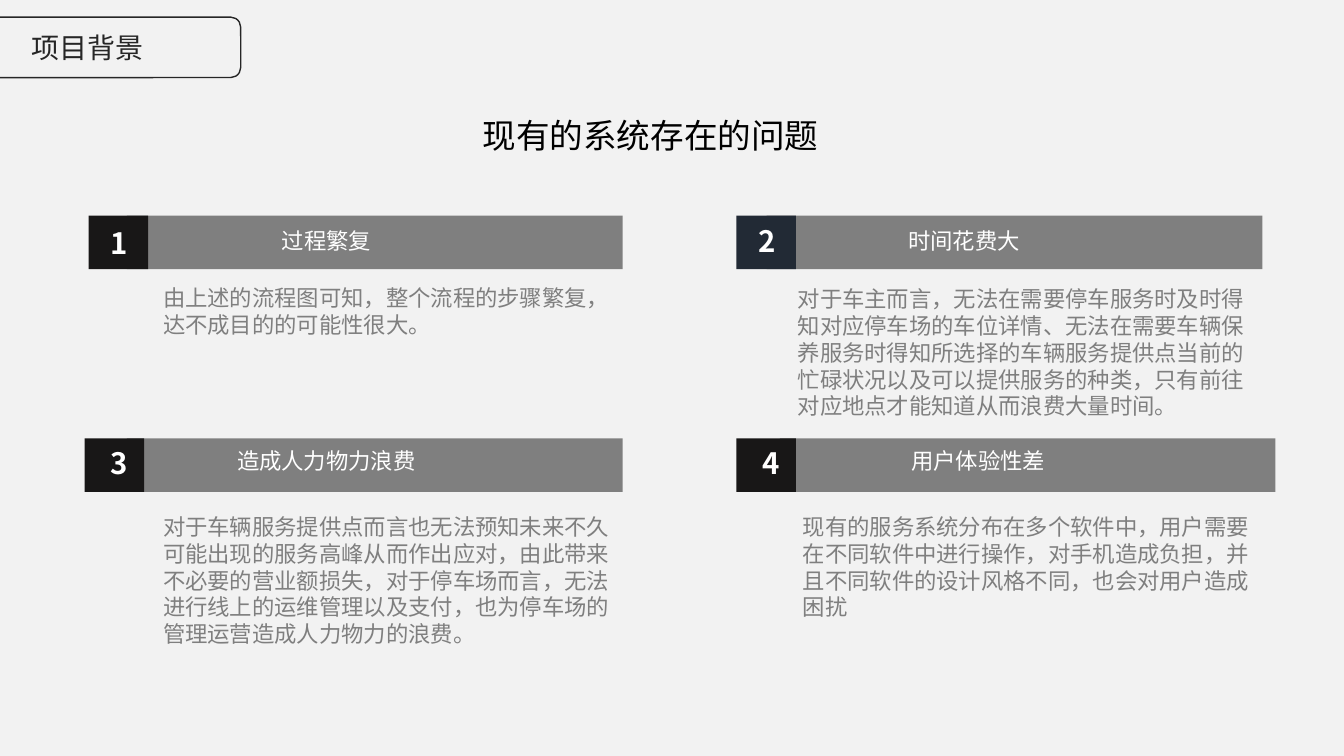
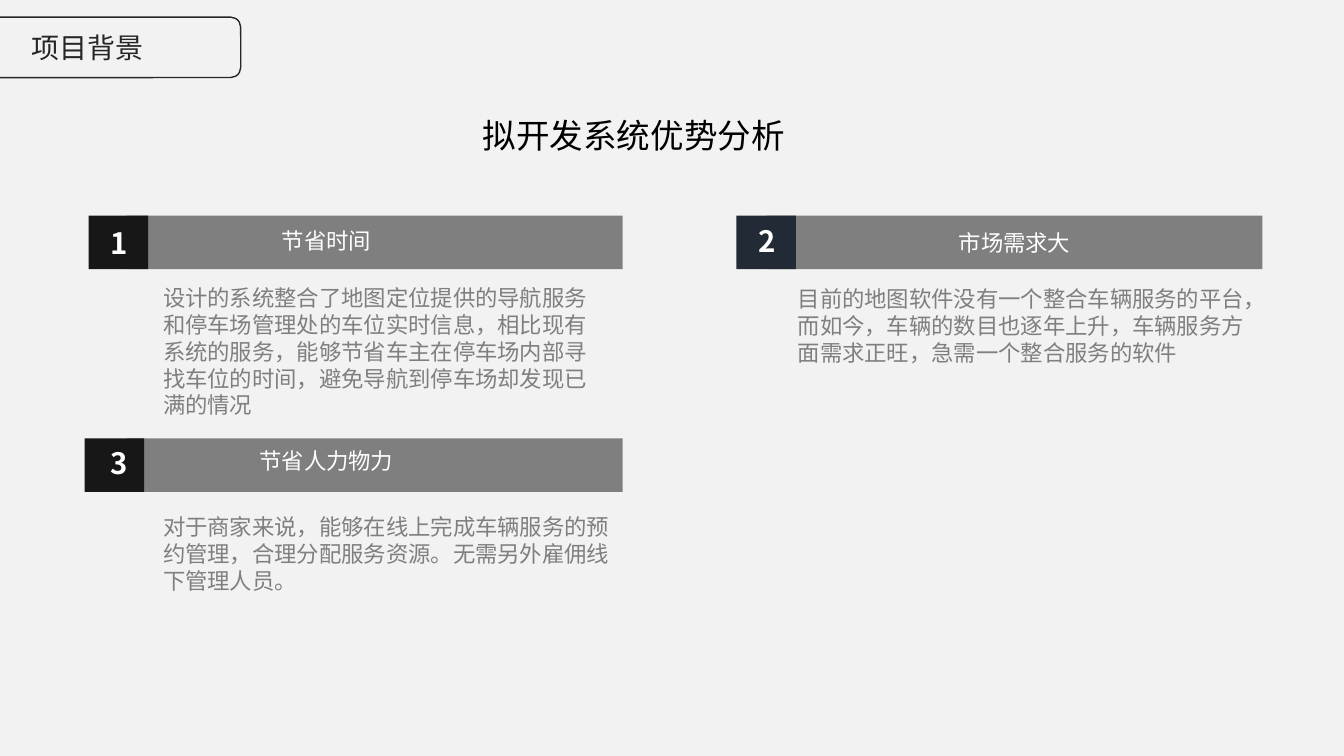
from dataclasses import dataclass

from lxml import etree
from pptx import Presentation
from pptx.dml.color import RGBColor
from pptx.enum.shapes import MSO_SHAPE
from pptx.enum.text import MSO_ANCHOR, MSO_AUTO_SIZE, PP_ALIGN
from pptx.oxml.ns import qn
from pptx.util import Emu, Pt

RECT, ROUND = MSO_SHAPE.RECTANGLE, MSO_SHAPE.ROUNDED_RECTANGLE
LEFT, MID = PP_ALIGN.LEFT, PP_ALIGN.CENTER
TOP, CENTER = MSO_ANCHOR.TOP, MSO_ANCHOR.MIDDLE
FIXED = MSO_AUTO_SIZE.NONE

PX = 9144  # EMU in one px, 100 px to the inch
WIDE, HIGH = 1334, 750
BAR_W, BADGE_W, BAND_H = 492, 59, 53
HEAD_W, HEAD_H = 330, 37
NUM_W, NUM_H = 52, 45
TEXT_H = 144
LEAD = 1.2  # line height in ems

SANS, TAB_FONT = "Noto Sans CJK SC", "League Spartan"
COLORS = {
    "back": "F2F2F2",
    "bar": "7F7F7F",
    "text": "7F7F7F",
    "badge": "181717",
    "navy": "222A35",
    "white": "FFFFFF",
    "title": "000000",
    "tab": "262626",
}


@dataclass(frozen=True)
class Style:
    size: int
    color: str
    align: PP_ALIGN = LEFT
    bold: bool = False
    font: str = SANS


TITLE = Style(24, "title")
TAB = Style(20, "tab", font=TAB_FONT)
HEAD = Style(16, "white", MID)
BODY = Style(16, "text")
NUM = Style(21, "white", MID, True)


@dataclass(frozen=True)
class Box:
    x: int
    y: int
    w: int
    h: int

    def emu(self) -> tuple[Emu, ...]:
        return tuple(Emu(n * PX) for n in (self.x, self.y, self.w, self.h))


@dataclass(frozen=True)
class Slot:
    """Places of one numbered card."""
    y: int
    bar: int
    badge: int
    num: tuple[int, int]
    head: tuple[int, int]
    body: tuple[int, int, int]
    fill: str = "badge"


@dataclass(frozen=True)
class Card:
    head: str
    body: str
    inner: bool = False  # heading centred inside the bar


@dataclass(frozen=True)
class Page:
    title: str
    cards: list[Card]


ROW1, ROW2 = 214, 435
SLOTS = [
    Slot(ROW1, 126, 88, (92, 218), (159, 220), (152, 277, 459)),
    Slot(ROW1, 761, 731, (735, 216), (792, 220), (782, 278, 468), "navy"),
    Slot(ROW2, 126, 84, (92, 437), (159, 439), (152, 504, 468)),
    Slot(ROW2, 774, 731, (739, 437), (806, 439), (787, 504, 468)),
]

PAGES = [
    Page("现有的系统存在的问题", [
        Card("过程繁复", "由上述的流程图可知，整个流程的步骤繁复，达不成目的的可能性很大。"),
        Card("时间花费大",
             "对于车主而言，无法在需要停车服务时及时得知对应停车场的车位详情、"
             "无法在需要车辆保养服务时得知所选择的车辆服务提供点当前的忙碌状况"
             "以及可以提供服务的种类，只有前往对应地点才能知道从而浪费大量时间。"),
        Card("造成人力物力浪费",
             "对于车辆服务提供点而言也无法预知未来不久可能出现的服务高峰从而作出应对，"
             "由此带来不必要的营业额损失，对于停车场而言，无法进行线上的运维管理以及支付，"
             "也为停车场的管理运营造成人力物力的浪费。"),
        Card("用户体验性差",
             "现有的服务系统分布在多个软件中，用户需要在不同软件中进行操作，"
             "对手机造成负担，并且不同软件的设计风格不同，也会对用户造成困扰"),
    ]),
    Page("拟开发系统优势分析", [
        Card("节省时间",
             "设计的系统整合了地图定位提供的导航服务和停车场管理处的车位实时信息，"
             "相比现有系统的服务，能够节省车主在停车场内部寻找车位的时间，"
             "避免导航到停车场却发现已满的情况"),
        Card("市场需求大",
             "目前的地图软件没有一个整合车辆服务的平台，而如今，车辆的数目也逐年上升，"
             "车辆服务方面需求正旺，急需一个整合服务的软件", inner=True),
        Card("节省人力物力",
             "对于商家来说，能够在线上完成车辆服务的预约管理，合理分配服务资源。"
             "无需另外雇佣线下管理人员。"),
    ]),
]


def rgb(key: str) -> RGBColor:
    return RGBColor.from_string(COLORS[key])


def write(shape, text: str, style: Style, anchor=TOP, wrap: bool = True) -> None:
    """Put one styled run into a shape."""
    frame = shape.text_frame
    frame.auto_size = FIXED
    frame.word_wrap = wrap
    frame.vertical_anchor = anchor
    para = frame.paragraphs[0]
    para.alignment = style.align
    para.line_spacing = Pt(round(style.size * LEAD, 1))
    para.space_before = Pt(0)
    run = para.add_run()
    run.text = text
    font = run.font
    font.size, font.bold, font.name = Pt(style.size), style.bold, style.font
    font.color.rgb = rgb(style.color)
    # East Asian typeface
    props = run._r.get_or_add_rPr()
    etree.SubElement(props, qn("a:ea"), typeface=style.font)


def label(slide, box: Box, text: str, style: Style, wrap: bool = True) -> None:
    write(slide.shapes.add_textbox(*box.emu()), text, style, wrap=wrap)


def block(slide, box: Box, fill: str):
    shape = slide.shapes.add_shape(RECT, *box.emu())
    shape.shadow.inherit = False
    shape.fill.solid()
    shape.fill.fore_color.rgb = rgb(fill)
    shape.line.fill.background()
    return shape


def draw_tab(slide) -> None:
    """Section tab running in from the left edge."""
    tab = slide.shapes.add_shape(ROUND, *Box(-57, 17, 296, 60).emu())
    tab.shadow.inherit = False
    tab.fill.background()
    tab.line.color.rgb = rgb("tab")
    tab.line.width = Pt(1)
    label(slide, Box(21, 25, 131, 44), "项目背景", TAB, wrap=False)


def draw_card(slide, slot: Slot, card: Card, num: int) -> None:
    bar = block(slide, Box(slot.bar, slot.y, BAR_W, BAND_H), "bar")
    label(slide, Box(*slot.body, TEXT_H), card.body, BODY)
    if card.inner:
        write(bar, card.head, HEAD, CENTER)
    else:
        label(slide, Box(*slot.head, HEAD_W, HEAD_H), card.head, HEAD)
    block(slide, Box(slot.badge, slot.y, BADGE_W, BAND_H), slot.fill)
    label(slide, Box(*slot.num, NUM_W, NUM_H), str(num), NUM)


def draw_page(deck, page: Page) -> None:
    slide = deck.slides.add_slide(deck.slide_layouts.get_by_name("Title Only"))
    title = slide.shapes.title
    title.left, title.top, title.width, title.height = Box(469, 109, 448, 50).emu()
    write(title, page.title, TITLE)
    for num, (slot, card) in enumerate(zip(SLOTS, page.cards), 1):
        draw_card(slide, slot, card, num)
    draw_tab(slide)


def main() -> None:
    deck = Presentation()
    deck.slide_width, deck.slide_height = Emu(WIDE * PX), Emu(HIGH * PX)
    # Shared background
    back = deck.slide_master.background.fill
    back.solid()
    back.fore_color.rgb = rgb("back")
    for page in PAGES:
        draw_page(deck, page)
    deck.save("out.pptx")


if __name__ == "__main__":
    main()
